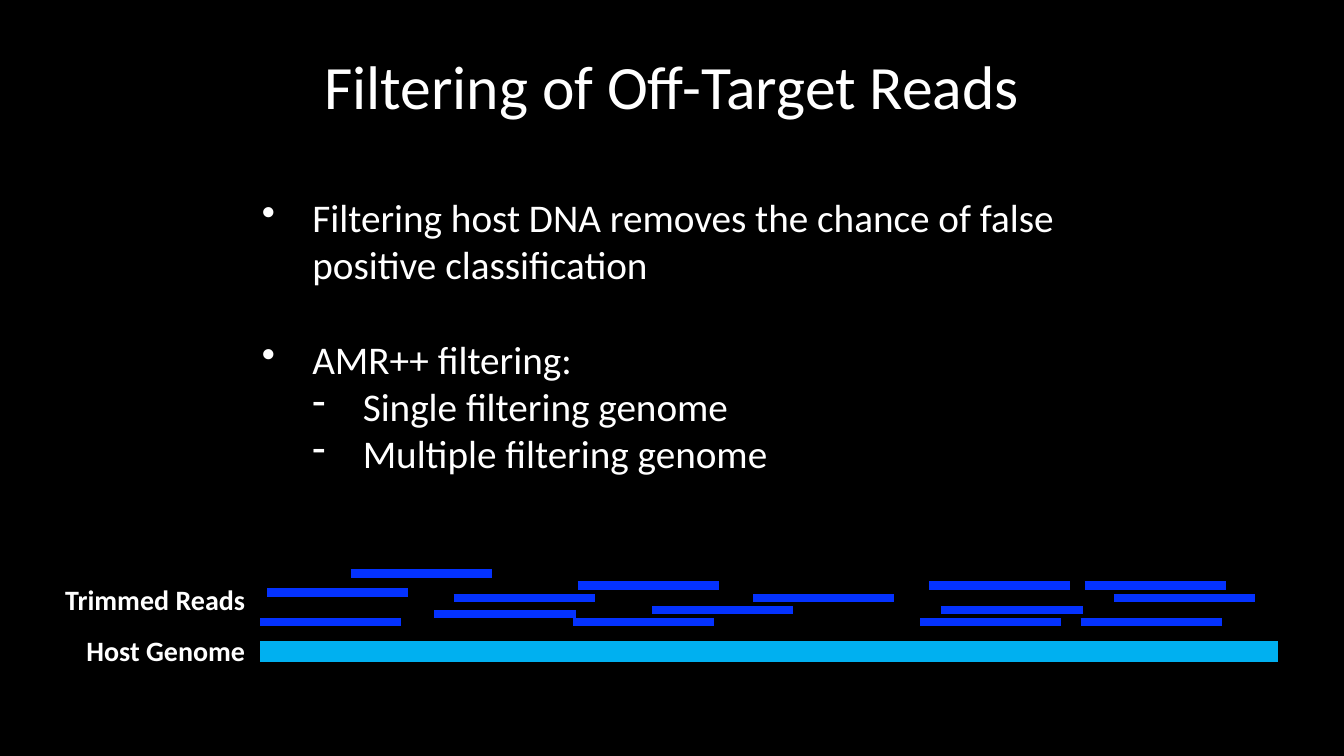
"""Build the slide on filtering off-target reads against a host genome."""
from dataclasses import dataclass
from typing import NamedTuple

from lxml.etree import SubElement
from pptx import Presentation
from pptx.dml.color import RGBColor
from pptx.enum.shapes import MSO_CONNECTOR as Connector
from pptx.enum.text import MSO_ANCHOR as Anchor, PP_ALIGN as Align
from pptx.oxml.ns import qn
from pptx.slide import Slide
from pptx.util import Inches, Pt

WIDTH, HEIGHT = Inches(13.333), Inches(7.5)
GRID = 100


@dataclass(frozen=True)
class Theme:
    """Colours, font, type sizes and line widths of the slide."""
    background: RGBColor = RGBColor(0, 0, 0)
    ink: RGBColor = RGBColor(255, 255, 255)
    genome: RGBColor = RGBColor(0x00, 0xB0, 0xF0)
    read: RGBColor = RGBColor(0x04, 0x32, 0xFF)
    font: str = "Calibri"
    title: int = 44
    body: int = 28
    label: int = 20
    genome_width: int = 15
    read_width: int = 6


class Area(NamedTuple):
    """A box in grid columns and rows."""
    left: float
    top: float
    width: float
    height: float


class Line(NamedTuple):
    """A line of text with its bullet, indent level and space before."""
    text: str
    bullet: str = ""
    level: int = 0
    gap: int = 0


class Read(NamedTuple):
    """A read's first column and its lane above the genome."""
    start: float
    lane: float


THEME = Theme()
HANG = Inches(0.5)
GENOME_START, GENOME_LENGTH, GENOME_ROW = 19.35, 75.75, 86.13
READ_LENGTH, FIRST_LANE, LANE_STEP = 10.5, 82.27, 1.6

POINTS = [
    Line("Filtering host DNA removes the chance of false positive classification", "•"),
    Line("AMR++ filtering:", "•", gap=34),
    Line("Single filtering genome", "-", 1),
    Line("Multiple filtering genome", "-", 1),
]
READS = [
    Read(19.35, 0), Read(32.33, 0.67), Read(42.6, 0), Read(48.53, 1),
    Read(19.88, 2.42), Read(33.75, 2), Read(26.1, 4), Read(42.98, 3),
    Read(56.03, 2), Read(68.48, 0), Read(70.05, 1), Read(80.4, 0),
    Read(82.88, 2), Read(69.15, 3), Read(80.7, 3),
]
LABELS = {"Host Genome": 83.2, "Trimmed Reads": 76.4}


def column(count: float) -> int:
    """Turn grid columns into a length."""
    return round(WIDTH * count / GRID)


def row(count: float) -> int:
    """Turn grid rows into a length."""
    return round(HEIGHT * count / GRID)


def add_text(slide: Slide, area: Area, lines: list[Line], *, size: int,
             align: Align = Align.LEFT, bold: bool = False,
             side: float = 0.1, edge: float = 0.05, left: float | None = None) -> None:
    """Place lines of text in a box with the given format."""
    frame = slide.shapes.add_textbox(
        column(area.left), row(area.top), column(area.width), row(area.height)).text_frame
    frame.word_wrap = True
    frame.vertical_anchor = Anchor.TOP
    frame.margin_left = Inches(side if left is None else left)
    frame.margin_right = Inches(side)
    frame.margin_top = frame.margin_bottom = Inches(edge)
    for index, line in enumerate(lines):
        paragraph = frame.add_paragraph() if index else frame.paragraphs[0]
        paragraph.alignment = align
        paragraph.level = line.level
        if line.gap:
            paragraph.space_before = Pt(line.gap)
        if line.bullet:
            properties = paragraph._p.get_or_add_pPr()
            properties.set("marL", str(HANG * (line.level + 1) + Inches(0.01)))
            properties.set("indent", str(-HANG))
            SubElement(properties, qn("a:buChar")).set("char", line.bullet)
        run = paragraph.add_run()
        run.text = line.text
        run.font.name, run.font.size, run.font.bold = THEME.font, Pt(size), bold
        run.font.color.rgb = THEME.ink


def add_strand(slide: Slide, start: float, length: float, height: float,
               color: RGBColor, width: int) -> None:
    """Draw a horizontal strand of DNA."""
    strand = slide.shapes.add_connector(
        Connector.STRAIGHT, column(start), row(height), column(start + length), row(height))
    strand.line.color.rgb = color
    strand.line.width = Pt(width)
    SubElement(strand._element.spPr, qn("a:effectLst"))


def main() -> None:
    """Build and save the presentation."""
    deck = Presentation()
    deck.slide_width, deck.slide_height = WIDTH, HEIGHT
    slide = deck.slides.add_slide(deck.slide_layouts[6])
    slide.background.fill.solid()
    slide.background.fill.fore_color.rgb = THEME.background

    add_text(slide, Area(19.42, 25.6, 61.2, 37.73), POINTS, size=THEME.body, side=0, edge=0)
    add_text(slide, Area(0, 5.73, 100, 11.2), [Line("Filtering of Off-Target Reads")],
             size=THEME.title, align=Align.CENTER)
    add_strand(slide, GENOME_START, GENOME_LENGTH, GENOME_ROW, THEME.genome, THEME.genome_width)
    for read in READS:
        add_strand(slide, read.start, READ_LENGTH, FIRST_LANE - LANE_STEP * read.lane,
                   THEME.read, THEME.read_width)
    for label, top in LABELS.items():
        add_text(slide, Area(3.9, top, 15.08, 5.87), [Line(label)],
                 size=THEME.label, align=Align.RIGHT, bold=True, left=0)
    deck.save("out.pptx")


if __name__ == "__main__":
    main()
